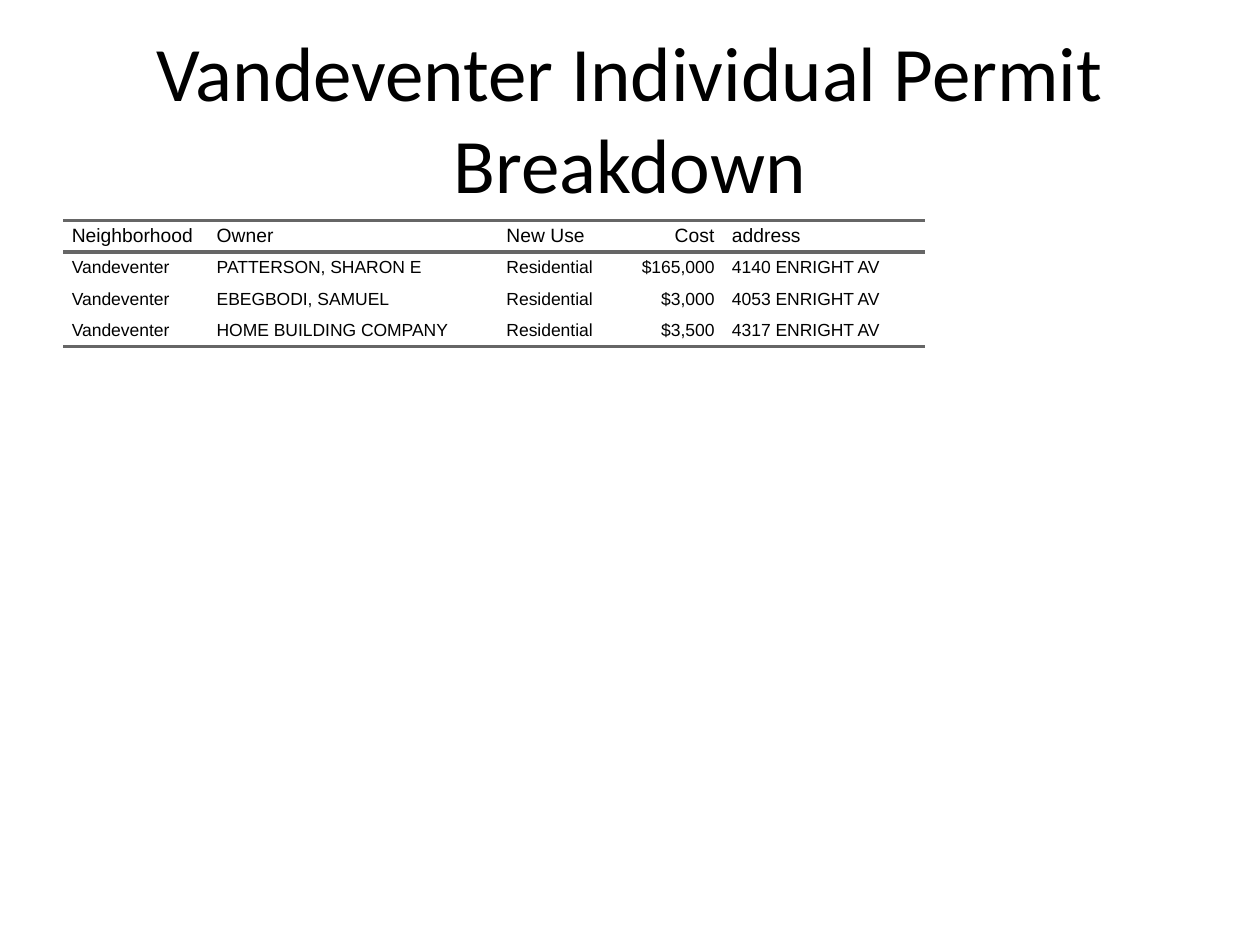
"""Build the Vandeventer individual permit breakdown slide."""
import dataclasses

import lxml.etree
import pptx
import pptx.dml.color
import pptx.enum.text
import pptx.oxml.ns
import pptx.util

ALIGN = pptx.enum.text.PP_ALIGN
ANCHOR = pptx.enum.text.MSO_ANCHOR
NO_STYLE = "{2D5ABB26-0587-4C30-8999-92F81FD0307C}"


@dataclasses.dataclass(frozen=True)
class Theme:
    """Colours, fonts and sizes of the slide."""
    text: str = "000000"
    rule: str = "666666"
    title_font: str = "Calibri"
    table_font: str = "Arial"
    title_size: int = 44
    header_size: int = 11
    body_size: int = 10
    rule_width: int = 2


THEME = Theme()
TITLE = "Vandeventer Individual Permit Breakdown"
HEADERS = ["Neighborhood", "Owner", "New Use", "Cost", "address"]
PERMITS = [
    ["Vandeventer", "PATTERSON, SHARON E", "Residential", "$165,000", "4140 ENRIGHT AV"],
    ["Vandeventer", "EBEGBODI, SAMUEL", "Residential", "$3,000", "4053 ENRIGHT AV"],
    ["Vandeventer", "HOME BUILDING COMPANY", "Residential", "$3,500", "4317 ENRIGHT AV"],
]
COLUMN_WIDTHS = [1.15, 2.3, 1.04, 0.75, 1.6]
ROW_HEIGHT = 0.25
CELL_MARGIN = 0.07


def set_text(tf, text, font, size, align):
    """Write one formatted paragraph into a text frame."""
    tf.text = text
    p = tf.paragraphs[0]
    p.alignment = align
    r = p.runs[0]
    r.font.name = font
    r.font.size = pptx.util.Pt(size)
    r.font.color.rgb = pptx.dml.color.RGBColor.from_string(THEME.text)


def add_title(prs, s):
    """Add the centred title across the top of the slide."""
    w, h = prs.slide_width, prs.slide_height
    sp = s.shapes.add_textbox(int(w * 0.05), int(h * 0.04), int(w * 0.9), int(h / 6))
    tf = sp.text_frame
    tf.word_wrap = True
    tf.vertical_anchor = ANCHOR.MIDDLE
    set_text(tf, TITLE, THEME.title_font, THEME.title_size, ALIGN.CENTER)


def add_rules(cell, sides):
    """Draw horizontal rules on the given sides of a cell, T before B."""
    qn = pptx.oxml.ns.qn
    tc_pr = cell._tc.get_or_add_tcPr()
    for i, side in enumerate(sides):
        ln = lxml.etree.Element(qn(f"a:ln{side}"), w=str(pptx.util.Pt(THEME.rule_width)))
        fill = lxml.etree.SubElement(ln, qn("a:solidFill"))
        lxml.etree.SubElement(fill, qn("a:srgbClr"), val=THEME.rule)
        tc_pr.insert(i, ln)


def fill_cell(cell, text, size, align, sides):
    """Set the text, margins and rules of one cell."""
    cell.margin_left = cell.margin_right = pptx.util.Inches(CELL_MARGIN)
    cell.margin_top = cell.margin_bottom = 0
    cell.vertical_anchor = ANCHOR.MIDDLE
    cell.fill.background()
    set_text(cell.text_frame, text, THEME.table_font, size, align)
    add_rules(cell, sides)


def add_permit_table(prs, s):
    """Add the table of permits below the title."""
    rows = [HEADERS] + PERMITS
    sp = s.shapes.add_table(
        len(rows), len(HEADERS), int(prs.slide_width * 0.05), int(prs.slide_height * 7 / 30),
        pptx.util.Inches(sum(COLUMN_WIDTHS)), pptx.util.Inches(ROW_HEIGHT * len(rows)))
    table = sp.table
    table.first_row = table.horz_banding = False
    table._tbl.tblPr.find(pptx.oxml.ns.qn("a:tableStyleId")).text = NO_STYLE
    for column, width in zip(table.columns, COLUMN_WIDTHS):
        column.width = pptx.util.Inches(width)
    rules = {0: "TB", len(rows) - 1: "B"}
    for i, row in enumerate(rows):
        size = THEME.body_size if i else THEME.header_size
        for j, text in enumerate(row):
            align = ALIGN.RIGHT if HEADERS[j] == "Cost" else ALIGN.LEFT
            fill_cell(table.cell(i, j), text, size, align, rules.get(i, ""))


def main():
    """Build and save the slide."""
    prs = pptx.Presentation()
    prs.slide_width = pptx.util.Inches(10)
    prs.slide_height = pptx.util.Inches(7.5)
    s = prs.slides.add_slide(prs.slide_layouts[6])
    add_title(prs, s)
    add_permit_table(prs, s)
    prs.save("out.pptx")


if __name__ == "__main__":
    main()
